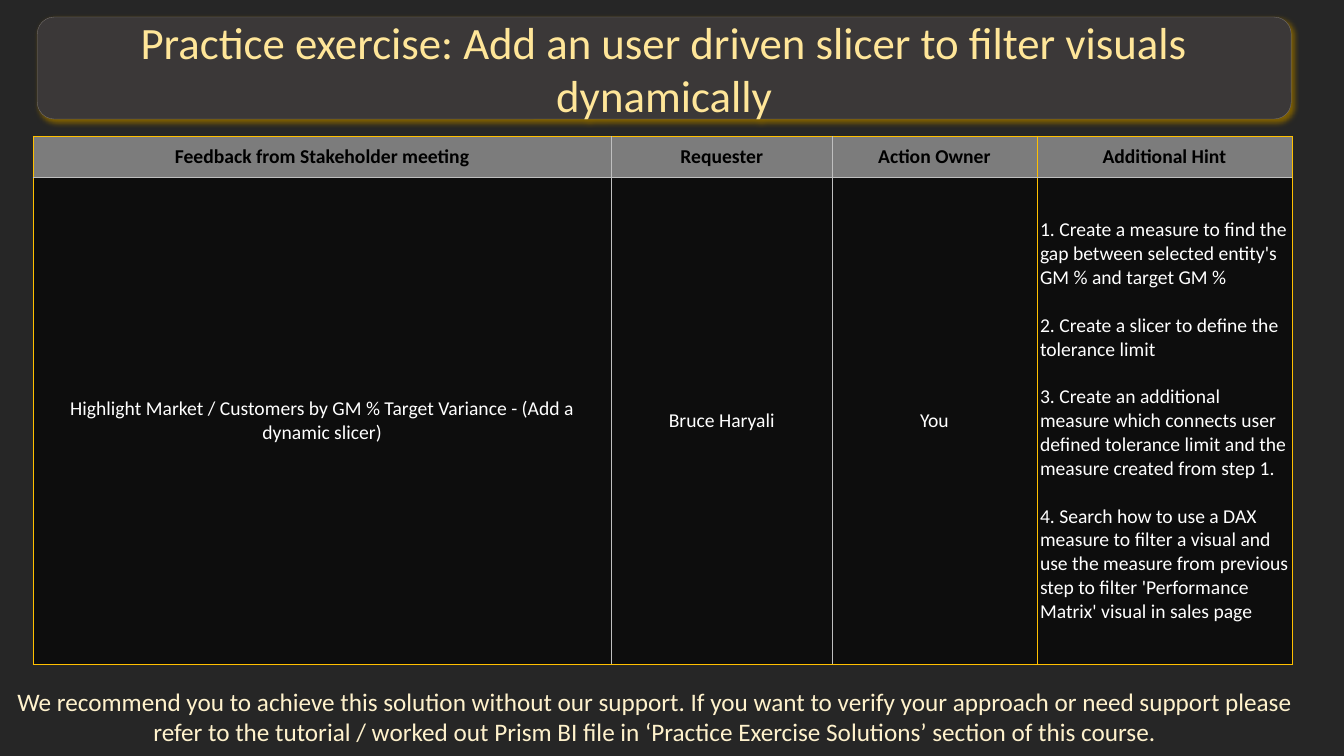
from dataclasses import dataclass

from lxml.etree import SubElement
from pptx import Presentation
from pptx.dml.color import RGBColor
from pptx.enum.shapes import MSO_SHAPE
from pptx.enum.text import MSO_ANCHOR, PP_ALIGN
from pptx.oxml import parse_xml
from pptx.oxml.ns import nsdecls, qn
from pptx.util import Cm, Pt


@dataclass(frozen=True)
class Theme:
    font: str = "Calibri"
    back: str = "262626"
    panel: str = "3B3838"
    edge: str = "767171"
    glow: str = "806000"
    title: str = "FFE699"
    note: str = "FFF2CC"
    head: str = "7C7C7C"
    body: str = "0D0D0D"
    dark: str = "000000"
    light: str = "FFFFFF"
    gold: str = "FFC000"
    grey: str = "BFBFBF"
    big: int = 32
    mid: int = 18
    small: int = 14


THEME = Theme()
TITLE = "Practice exercise: Add an user driven slicer to filter visuals dynamically"
NOTE = (
    "We recommend you to achieve this solution without our support. "
    "If you want to verify your approach or need support please refer to the "
    "tutorial / worked out Prism BI file in ‘Practice Exercise Solutions’ "
    "section of this course."
)
HEADS = ["Feedback from Stakeholder meeting", "Requester", "Action Owner", "Additional Hint"]
HINTS = [
    "1. Create a measure to find the gap between selected entity's GM % and target GM %",
    "2. Create a slicer to define the tolerance limit",
    "3. Create an additional measure which connects user defined tolerance limit "
    "and the measure created from step 1.",
    "4. Search how to use a DAX measure to filter a visual and use the measure from "
    "previous step to filter 'Performance Matrix' visual in sales page",
]
TASK = [
    ["Highlight Market / Customers by GM % Target Variance - (Add a dynamic slicer)"],
    ["Bruce Haryali"],
    ["You"],
    HINTS,
]
SHARES = [14.58, 5.56, 5.16, 6.43]
HEAD_ROW = 1.04


def color(code):
    return RGBColor.from_string(code)


def write(frame, lines, size, ink, bold=False, align=PP_ALIGN.CENTER):
    """Fill a text frame with one paragraph per line, a line's height apart."""
    frame.word_wrap = True
    for i, line in enumerate(lines):
        para = frame.add_paragraph() if i else frame.paragraphs[0]
        para.alignment = align
        if i:
            para.space_before = Pt(size * 1.22)
        run = para.add_run()
        run.text = line
        run.font.name = THEME.font
        run.font.size = Pt(size)
        run.font.bold = bold
        run.font.color.rgb = color(ink)


def add_glow(shape):
    """Give the shape a soft coloured shadow to the lower right."""
    shape.shadow.inherit = False
    effects = shape.element.spPr.find(qn("a:effectLst"))
    outer = SubElement(effects, qn("a:outerShdw"), blurRad=str(Pt(4)), dist=str(Pt(2)),
                       dir=str(51 * 60000), algn="tl", rotWithShape="0")
    SubElement(outer, qn("a:srgbClr"), val=THEME.glow)


def add_banner(slide, left, top, width, height):
    panel = slide.shapes.add_shape(MSO_SHAPE.ROUNDED_RECTANGLE,
                                   Cm(left), Cm(top), Cm(width), Cm(height))
    panel.fill.solid()
    panel.fill.fore_color.rgb = color(THEME.panel)
    panel.line.color.rgb = color(THEME.edge)
    panel.line.width = Pt(0.25)
    add_glow(panel)
    panel.text_frame.vertical_anchor = MSO_ANCHOR.MIDDLE
    write(panel.text_frame, [TITLE], THEME.big, THEME.title)


def set_edges(cell, edges):
    """Draw the cell's borders, given as colours by side."""
    props = cell._tc.get_or_add_tcPr()
    for i, side in enumerate("LRTB"):
        props.insert(i, parse_xml(
            f'<a:ln{side} {nsdecls("a")} w="{Pt(0.5)}"><a:solidFill>'
            f'<a:srgbClr val="{edges[side]}"/></a:solidFill></a:ln{side}>'))


def add_grid(slide, left, top, width, height):
    grid = slide.shapes.add_table(2, len(HEADS), Cm(left), Cm(top),
                                  Cm(width), Cm(height)).table
    for col, share in zip(grid.columns, SHARES):
        col.width = Cm(width * share / sum(SHARES))
    grid.rows[0].height = Cm(HEAD_ROW)
    grid.rows[1].height = Cm(height - HEAD_ROW)

    last = len(HEADS) - 1
    for r, texts in enumerate([[[head] for head in HEADS], TASK]):
        for c, lines in enumerate(texts):
            cell = grid.cell(r, c)
            cell.fill.solid()
            cell.fill.fore_color.rgb = color(THEME.body if r else THEME.head)
            cell.margin_left = cell.margin_right = Cm(0.08)
            cell.margin_top = cell.margin_bottom = Cm(0.05)
            cell.vertical_anchor = MSO_ANCHOR.MIDDLE
            set_edges(cell, {
                "L": THEME.gold if c in (0, last) else THEME.grey,
                "R": THEME.gold if c >= last - 1 else THEME.grey,
                "T": THEME.grey if r else THEME.gold,
                "B": THEME.gold if r else THEME.grey,
            })
            align = PP_ALIGN.LEFT if r and c == last else PP_ALIGN.CENTER
            write(cell.text_frame, lines, THEME.small,
                  THEME.light if r else THEME.dark, not r, align)


def add_note(slide, left, top, width, height):
    box = slide.shapes.add_textbox(Cm(left), Cm(top), Cm(width), Cm(height))
    box.text_frame.vertical_anchor = MSO_ANCHOR.MIDDLE
    write(box.text_frame, [NOTE], THEME.mid, THEME.note)


def main():
    deck = Presentation()
    deck.slide_width, deck.slide_height = Cm(33.87), Cm(19.05)
    slide = deck.slides.add_slide(deck.slide_layouts[6])
    slide.background.fill.solid()
    slide.background.fill.fore_color.rgb = color(THEME.back)
    add_grid(slide, 0.83, 3.43, 31.73, 13.31)
    add_note(slide, -0.43, 17.15, 33.87, 1.8)
    add_banner(slide, 0.94, 0.43, 31.6, 2.57)
    deck.save("out.pptx")


if __name__ == "__main__":
    main()
